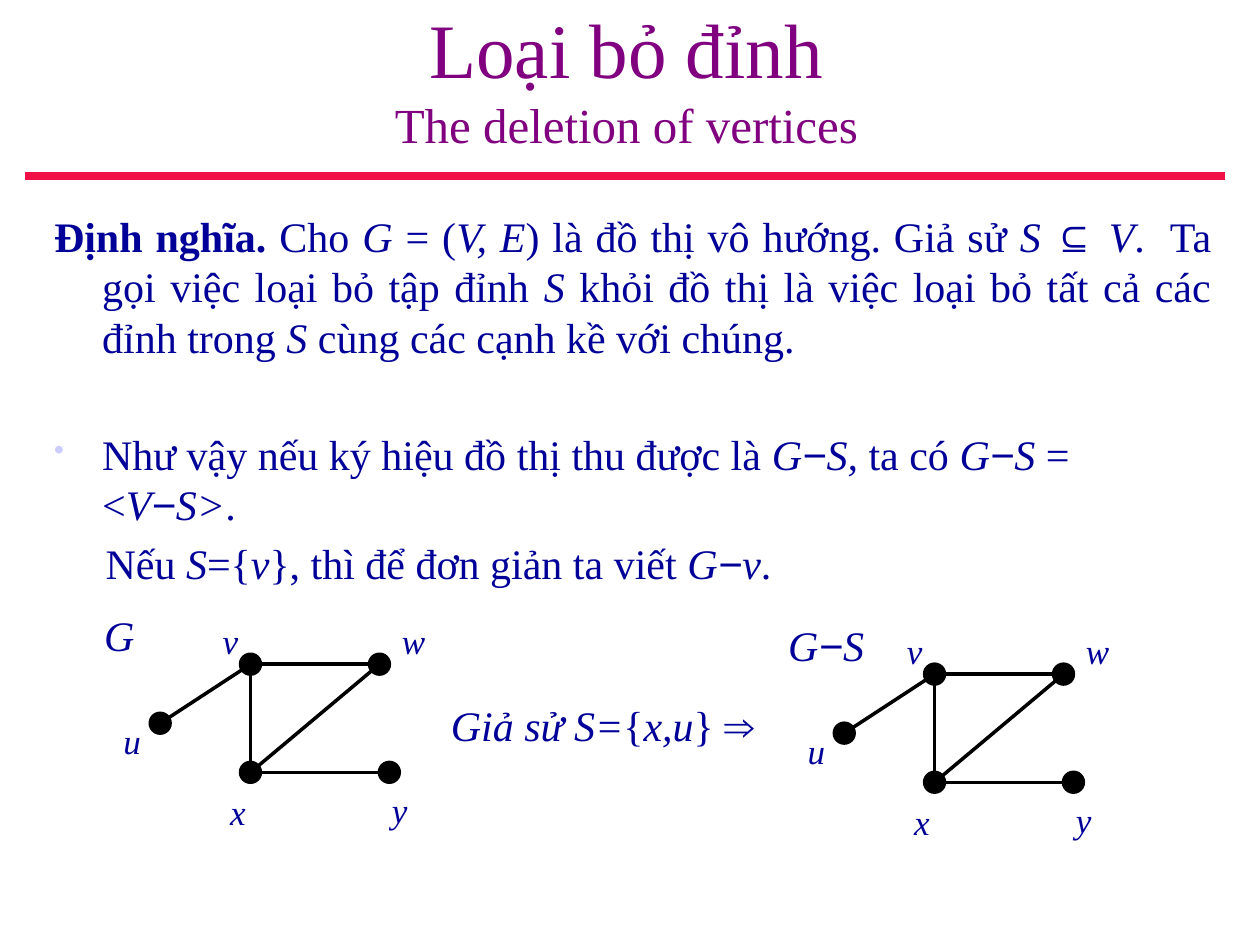
from dataclasses import dataclass
from itertools import groupby

from lxml import etree
from pptx import Presentation
from pptx import util as u
from pptx.dml.color import RGBColor
from pptx.enum import shapes, text
from pptx.oxml.ns import qn

SERIF, SANS = "Times New Roman", "Arial"
NAVY, PURPLE, RED, BLACK, LILAC = "000099", "800080", "F01045", "000000", "CCCCFF"
Cm, Pt = u.Cm, u.Pt


@dataclass
class Node:
    """A vertex: its centre, and the place and width of its label, in cm."""
    x: float
    y: float
    left: float
    top: float
    wide: float = 0.81


@dataclass
class Para:
    """A paragraph; text between underscores is italic."""
    src: str
    lead: str = ""
    left: float = 0.97
    hang: float = -0.97
    gap: float = 0
    align: str = "LEFT"
    dot: bool = False


NODES = {
    "u": Node(3.23, 14.58, 2.24, 14.38, 0.86),
    "v": Node(5.05, 13.39, 4.24, 12.37),
    "w": Node(7.65, 13.39, 7.85, 12.37, 0.99),
    "x": Node(5.05, 15.57, 4.39, 15.82),
    "y": Node(7.85, 15.57, 7.65, 15.77),
}
EDGES = ["uv", "vw", "xv", "xw", "xy"]
BODY = [
    Para("Cho _G_ = (_V, E_) là đồ thị vô hướng. Giả sử _S_ ⊆ _V_.  Ta gọi việc "
         "loại bỏ tập đỉnh _S_ khỏi đồ thị là việc loại bỏ tất cả các đỉnh trong "
         "_S_ cùng các cạnh kề với chúng.", lead="Định nghĩa. ", align="JUSTIFY"),
    Para("Như vậy nếu ký hiệu đồ thị thu được là _G−S, _ta có _G−S_ = <_V−S>_.",
         gap=38, dot=True),
    Para("Nếu _S_={_v_}, thì để đơn giản ta viết _G−v_.", left=1.04, hang=0, gap=4.8),
]


def hue(code: str) -> RGBColor:
    return RGBColor.from_string(code)


def add_run(para, words: str, size: float, tint: str = NAVY, **more) -> None:
    run = para.add_run()
    run.text = words
    form = {"name": SERIF, "size": Pt(size), "bold": False, "italic": False} | more
    for key, val in form.items():
        setattr(run.font, key, val)
    run.font.color.rgb = hue(tint)


def add_rich(para, src: str, size: float) -> None:
    """Italic between underscores; the minus sign is set in the sans font."""
    for num, part in enumerate(src.split("_")):
        for minus, chars in groupby(part, lambda c: c == "−"):
            add_run(para, "".join(chars), size, italic=num % 2 == 1,
                    name=SANS if minus else SERIF)


def add_box(slide, x: float, y: float, w: float, h: float, **more):
    frame = slide.shapes.add_textbox(Cm(x), Cm(y), Cm(w), Cm(h)).text_frame
    for key, val in ({"word_wrap": True} | more).items():
        setattr(frame, key, val)
    return frame


def add_label(slide, src: str, x: float, y: float, w: float, h: float, size: float) -> None:
    frame = add_box(slide, x, y, w, h, word_wrap=False,
                    auto_size=text.MSO_AUTO_SIZE.SHAPE_TO_FIT_TEXT)
    add_rich(frame.paragraphs[0], src, size)


def add_line(slide, x1: float, y1: float, x2: float, y2: float,
             tint: str = BLACK, wide: float = 2) -> None:
    line = slide.shapes.add_connector(shapes.MSO_CONNECTOR.STRAIGHT,
                                      Cm(x1), Cm(y1), Cm(x2), Cm(y2))
    line.line.color.rgb = hue(tint)
    line.line.width = Pt(wide)
    etree.SubElement(line._element.spPr, qn("a:effectLst"))


def add_dot(slide, x: float, y: float, r: float = 0.2) -> None:
    dot = slide.shapes.add_shape(shapes.MSO_SHAPE.OVAL, Cm(x - r), Cm(y - r),
                                 Cm(2 * r), Cm(2 * r))
    dot.shadow.inherit = False
    dot.fill.solid()
    dot.fill.fore_color.rgb = hue(BLACK)
    dot.line.color.rgb = hue(BLACK)
    dot.line.width = Pt(2)


def add_bullet(props) -> None:
    tint = etree.SubElement(props, qn("a:buClr"))
    etree.SubElement(tint, qn("a:srgbClr"), val=LILAC)
    etree.SubElement(props, qn("a:buSzPct"), val="70000")
    etree.SubElement(props, qn("a:buChar"), char="•")


def add_para(para, item: Para) -> None:
    props = para._p.get_or_add_pPr()
    props.set("marL", str(Cm(item.left)))
    props.set("indent", str(Cm(item.hang)))
    para.alignment = text.PP_ALIGN[item.align]
    para.space_before = Pt(item.gap)
    if item.dot:
        add_bullet(props)
    if item.lead:
        add_run(para, item.lead, 24, bold=True)
    add_rich(para, item.src, 24)


def add_graph(slide, name: str, wide: float, dx: float = 0, dy: float = 0) -> None:
    add_label(slide, name, 1.85 + dx, 12.17 + dy, wide, 1.28, 24)
    for a, b in EDGES:
        one, two = NODES[a], NODES[b]
        add_line(slide, one.x + dx, one.y + dy, two.x + dx, two.y + dy)
    for key, node in NODES.items():
        add_dot(slide, node.x + dx, node.y + dy)
        add_label(slide, f"_{key}_", node.left + dx, node.top + dy, node.wide, 1.11, 20)


def main() -> None:
    deck = Presentation()
    deck.slide_width, deck.slide_height = Cm(25.4), Cm(19.05)
    slide = deck.slides.add_slide(deck.slide_layouts[6])

    # Title and rule
    add_line(slide, 0.5, 3.54, 24.7, 3.54, RED, 4.5)
    frame = add_box(slide, 0.5, 0, 24.26, 3.12, vertical_anchor=text.MSO_ANCHOR.MIDDLE)
    head = frame.paragraphs[0]
    head.alignment = text.PP_ALIGN.CENTER
    add_run(head, "Loại bỏ đỉnh", 44, PURPLE)
    head.add_line_break()
    add_run(head, "The deletion of vertices", 28, PURPLE)

    # Definition and notation
    frame = add_box(slide, 0.84, 3.94, 23.83, 4.19, margin_top=Cm(0.3))
    for num, item in enumerate(BODY):
        add_para(frame.add_paragraph() if num else frame.paragraphs[0], item)

    # Example: the graph before and after
    add_graph(slide, "_G_", 1.14)
    add_label(slide, "_Giả sử S=_{_x,u_} ⇒", 8.84, 13.97, 7.16, 1.28, 24)
    add_graph(slide, "_G−S_", 2.08, 13.79, 0.2)

    deck.save("out.pptx")


if __name__ == "__main__":
    main()
